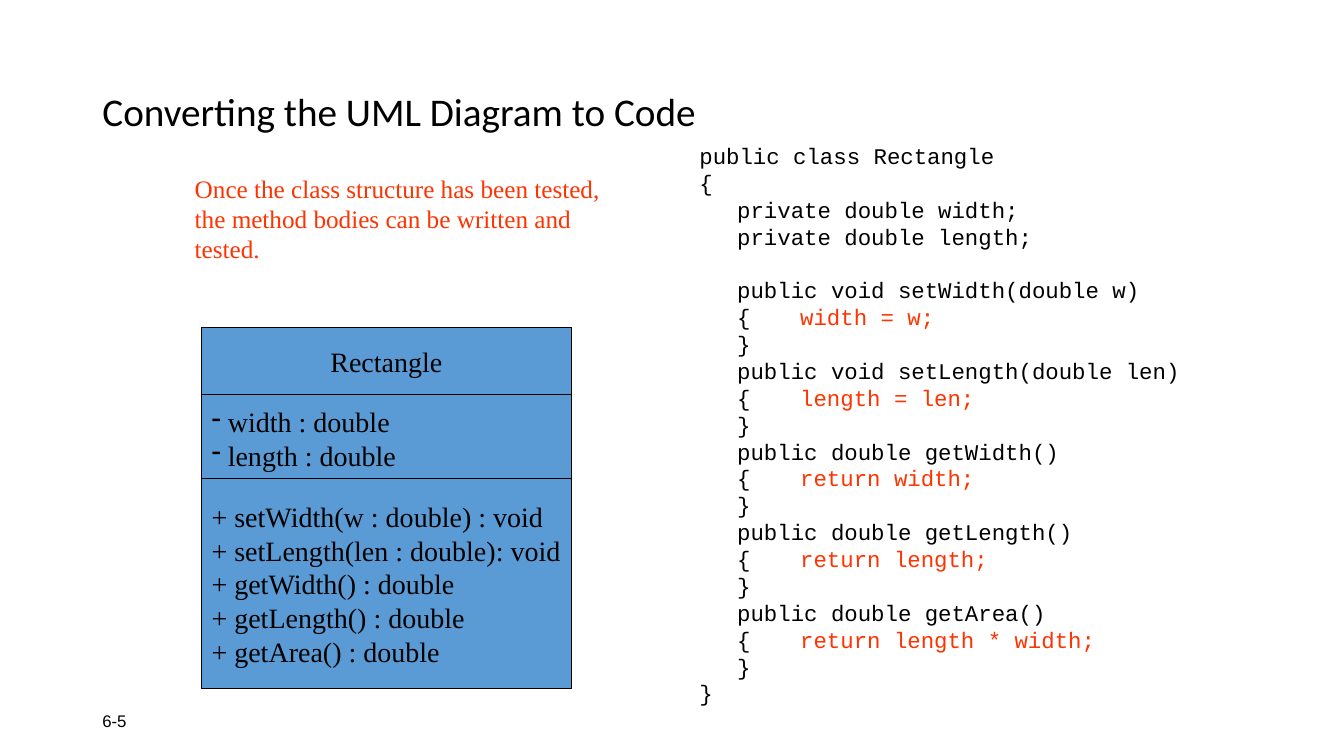
from lxml.etree import SubElement
from pptx import Presentation
from pptx.dml.color import RGBColor
from pptx.enum.shapes import MSO_SHAPE as Shape
from pptx.enum.text import MSO_ANCHOR as Anchor, PP_ALIGN as Align
from pptx.oxml.ns import qn
from pptx.util import Pt

BLACK, RED, BLUE = "000000", "FF3300", "5B9BD5"
SERIF, MONO = "Times New Roman", "Courier New"

METHODS = [
    ("public void setWidth(double w)", "width = w;"),
    ("public void setLength(double len)", "length = len;"),
    ("public double getWidth()", "return width;"),
    ("public double getLength()", "return length;"),
    ("public double getArea()", "return length * width;"),
]
# Class box compartments: top, height, lines, alignment, bullet
COMPARTMENTS = [
    (234, 48, ["Rectangle"], Align.CENTER, None),
    (282, 62, [" width : double", " length : double"], Align.LEFT, "-"),
    (342, 150, ["+ setWidth(w : double) : void",
                "+ setLength(len : double): void",
                "+ getWidth() : double",
                "+ getLength() : double",
                "+ getArea() : double"], Align.LEFT, None),
]


def color(value):
    return RGBColor.from_string(value)


class SlideBuilder:
    def __init__(self, page):
        self.page = page

    def style(self, span, font, size, shade=BLACK):
        span.font.name = font
        span.font.size = Pt(size)
        span.font.color.rgb = color(shade)

    def title(self, text, left, top, width, height):
        box = self.page.shapes.title
        box.left, box.top, box.width, box.height = map(Pt, (left, top, width, height))
        frame = box.text_frame
        frame.text = text
        frame.vertical_anchor = Anchor.MIDDLE
        para = frame.paragraphs[0]
        para.alignment = Align.LEFT
        para.line_spacing = 0.9
        self.style(para.runs[0], "Calibri", 28)

    def text(self, text, left, top, width, height, font, size,
             shade=BLACK, anchor=Anchor.TOP):
        box = self.page.shapes.add_textbox(*map(Pt, (left, top, width, height)))
        frame = box.text_frame
        frame.word_wrap = True
        frame.vertical_anchor = anchor
        frame.text = text
        for para in frame.paragraphs:
            for span in para.runs:
                self.style(span, font, size, shade)
        return frame

    def code(self, lines, left, top, width, height, size, tabs):
        """Each line is (plain text, highlighted text, space before)."""
        frame = self.text("\n".join(line[0] for line in lines),
                          left, top, width, height, MONO, size)
        for para, (_, highlight, gap) in zip(frame.paragraphs, lines):
            para.space_before = Pt(gap)
            if highlight:
                span = para.add_run()
                span.text = highlight
                self.style(span, MONO, size, RED)
            stops = SubElement(para._p.get_or_add_pPr(), qn("a:tabLst"))
            for stop in tabs:
                SubElement(stops, qn("a:tab"), pos=str(Pt(stop)), algn="l")

    def compartment(self, left, top, width, height, lines, align, bullet):
        box = self.page.shapes.add_shape(
            Shape.RECTANGLE, *map(Pt, (left, top, width, height)))
        box.shadow.inherit = False
        box.fill.solid()
        box.fill.fore_color.rgb = color(BLUE)
        box.line.color.rgb = color(BLACK)
        box.line.width = Pt(0.75)
        frame = box.text_frame
        frame.word_wrap = False
        frame.vertical_anchor = Anchor.MIDDLE
        frame.text = "\n".join(lines)
        for para in frame.paragraphs:
            para.alignment = align
            self.style(para.runs[0], SERIF, 20)
            if bullet:
                SubElement(para._p.get_or_add_pPr(), qn("a:buChar"), char=bullet)


def code_lines():
    lines = [("public class Rectangle", "", 0), ("{", "", 0),
             ("\tprivate double width;", "", 0),
             ("\tprivate double length;", "", 0)]
    for index, (signature, body) in enumerate(METHODS):
        lines += [("\t" + signature, "", 0 if index else 19.2),
                  ("\t{\t", body, 0), ("\t}", "", 0)]
    return lines + [("}", "", 0)]


def main():
    deck = Presentation()
    deck.slide_width, deck.slide_height = Pt(960), Pt(540)
    slide = SlideBuilder(deck.slides.add_slide(deck.slide_layouts[5]))

    # Title and page number
    slide.title("Converting the UML Diagram to Code", 66, 28.8, 828, 104.4)
    slide.text("6-5", 66, 500.5, 216, 28.8, "Arial", 12, anchor=Anchor.MIDDLE)

    # Java code
    slide.code(code_lines(), 492.5, 98, 378, 430.5, 16, tabs=(27, 72))

    # Class diagram
    for top, height, lines, align, bullet in COMPARTMENTS:
        slide.compartment(144, top, 264, height, lines, align, bullet)

    # Remark
    slide.text("Once the class structure has been tested, "
               "the method bodies can be written and tested.",
               132, 120, 314, 72, SERIF, 18, RED)

    deck.save("out.pptx")


if __name__ == "__main__":
    main()
